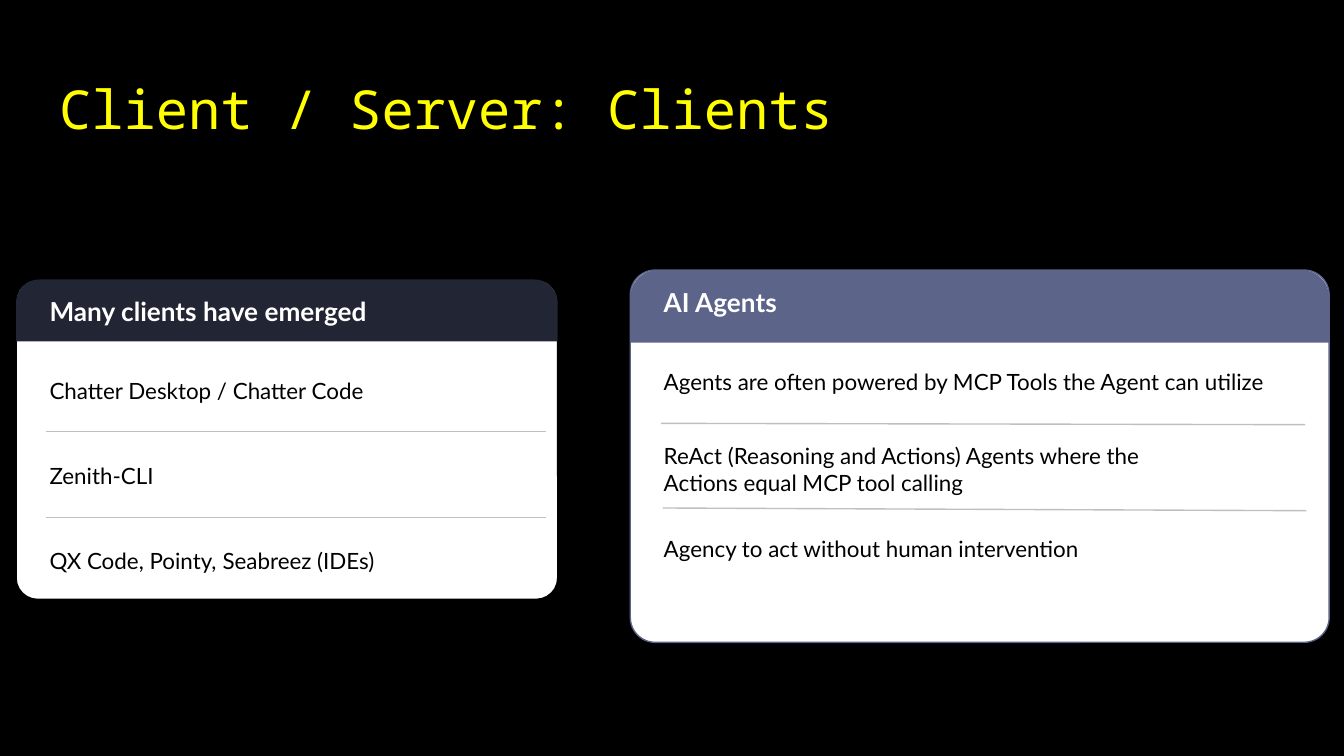
from pptx import Presentation
from pptx.dml.color import RGBColor
from pptx.enum.shapes import MSO_CONNECTOR, MSO_SHAPE
from pptx.enum.text import MSO_ANCHOR, MSO_AUTO_SIZE, PP_ALIGN
from pptx.oxml.ns import qn
from pptx.util import Inches, Pt
from lxml.etree import SubElement

WIDE, HIGH = 10, 5.625
PAD = 0.15  # from a card's edge to its text boxes
HEAD = {"name": "Lato", "size": Pt(14), "bold": True}
BODY = {"name": "Lato", "size": Pt(12), "bold": False}
TITLE = {"name": "Noto Sans Mono", "size": Pt(28.8), "bold": False}

# Rows hold: top, width, height, text. Rules hold: x1, y1, x2, y2.
CARDS = [
    {"box": (0.12, 2.08, 4.03, 2.38), "band": 0.46,
     "fill": "222533", "edge": "000000",
     "head": (2.15, 3.69, 0.34, "Many clients have emerged"),
     "rows": [(2.76, 3.62, 0.3, "Chatter Desktop / Chatter Code"),
              (3.39, 3.72, 0.3, "Zenith-CLI"),
              (4.02, 3.72, 0.3, "QX Code, Pointy,\u00a0Seabreez (IDEs)")],
     "rules": [(0.34, 3.21, 4.06, 3.21), (0.34, 3.85, 4.06, 3.85)]},
    {"box": (4.69, 2.01, 5.2, 2.77), "band": 0.54,
     "fill": "5C648A", "edge": "5C648A",
     "head": (2.08, 4.75, 0.4, "AI Agents"),
     "rows": [(2.69, 4.67, 0.34,
               "Agents are often powered by MCP Tools the Agent can utilize"),
              (3.24, 4.21, 0.34, "ReAct (Reasoning and Actions) Agents "
               "where the Actions equal MCP tool calling"),
              (3.93, 4.67, 0.34, "Agency to act without human intervention")],
     "rules": [(4.92, 3.15, 9.71, 3.16), (4.93, 3.78, 9.72, 3.8)]},
]


def color(code):
    return RGBColor.from_string(code)


def place(box):
    return [Inches(n) for n in box]


def style(part, form):
    for key, value in form.items():
        setattr(part, key, value)


def write(frame, text, form, code, pad):
    style(frame, {"word_wrap": True, "auto_size": MSO_AUTO_SIZE.NONE,
                  "margin_left": Inches(0.1), "margin_right": Inches(0.1),
                  "margin_top": Inches(pad), "margin_bottom": Inches(pad)})
    para = frame.paragraphs[0]
    para.alignment = PP_ALIGN.LEFT
    run = para.add_run()
    run.text = text
    style(run.font, form)
    run.font.color.rgb = color(code)


def add_label(slide, left, row, form, code):
    top, width, height, text = row
    box = slide.shapes.add_textbox(*place((left, top, width, height)))
    box.text_frame.vertical_anchor = MSO_ANCHOR.TOP
    write(box.text_frame, text, form, code, 0.05)


def add_panel(slide, kind, box, fill, bends, edge=None):
    panel = slide.shapes.add_shape(kind, *place(box))
    panel.shadow.inherit = False
    panel.fill.solid()
    panel.fill.fore_color.rgb = color(fill)
    for i, bend in enumerate(bends):
        panel.adjustments[i] = bend
    if edge:
        panel.line.color.rgb = color(edge)
        panel.line.width = Pt(0.75)
    else:
        panel.line.fill.background()


def add_rule(slide, ends):
    rule = slide.shapes.add_connector(MSO_CONNECTOR.STRAIGHT, *place(ends))
    rule.line.color.rgb = color("BFBFBF")
    rule.line.width = Pt(0.75)
    SubElement(rule._element.spPr, qn("a:effectLst"))


def add_card(slide, card):
    left, top, width, _ = card["box"]
    # Body, then the coloured band over its top
    add_panel(slide, MSO_SHAPE.ROUNDED_RECTANGLE, card["box"], "FFFFFF",
              [0.067], card["edge"])
    add_panel(slide, MSO_SHAPE.ROUND_2_SAME_RECTANGLE,
              (left, top, width, card["band"]), card["fill"], [0.377, 0])
    # Heading, rows and the rules between them
    add_label(slide, left + PAD, card["head"], HEAD, "FFFFFF")
    for row in card["rows"]:
        add_label(slide, left + PAD, row, BODY, "000000")
    for ends in card["rules"]:
        add_rule(slide, ends)


def add_title(slide, text):
    title = slide.shapes.title
    spots = place((0.34, 0.49, 9.55, 0.63))
    style(title, dict(zip(("left", "top", "width", "height"), spots)))
    title.text_frame.vertical_anchor = MSO_ANCHOR.MIDDLE
    write(title.text_frame, text, TITLE, "FFFF00", 0.1)


def main():
    deck = Presentation()
    deck.slide_width, deck.slide_height = place((WIDE, HIGH))
    slide = deck.slides.add_slide(deck.slide_layouts[5])
    # Black backdrop
    slide.background.fill.solid()
    slide.background.fill.fore_color.rgb = color("000000")
    add_title(slide, "Client / Server: Clients")
    for card in CARDS:
        add_card(slide, card)
    deck.save("out.pptx")


if __name__ == "__main__":
    main()
